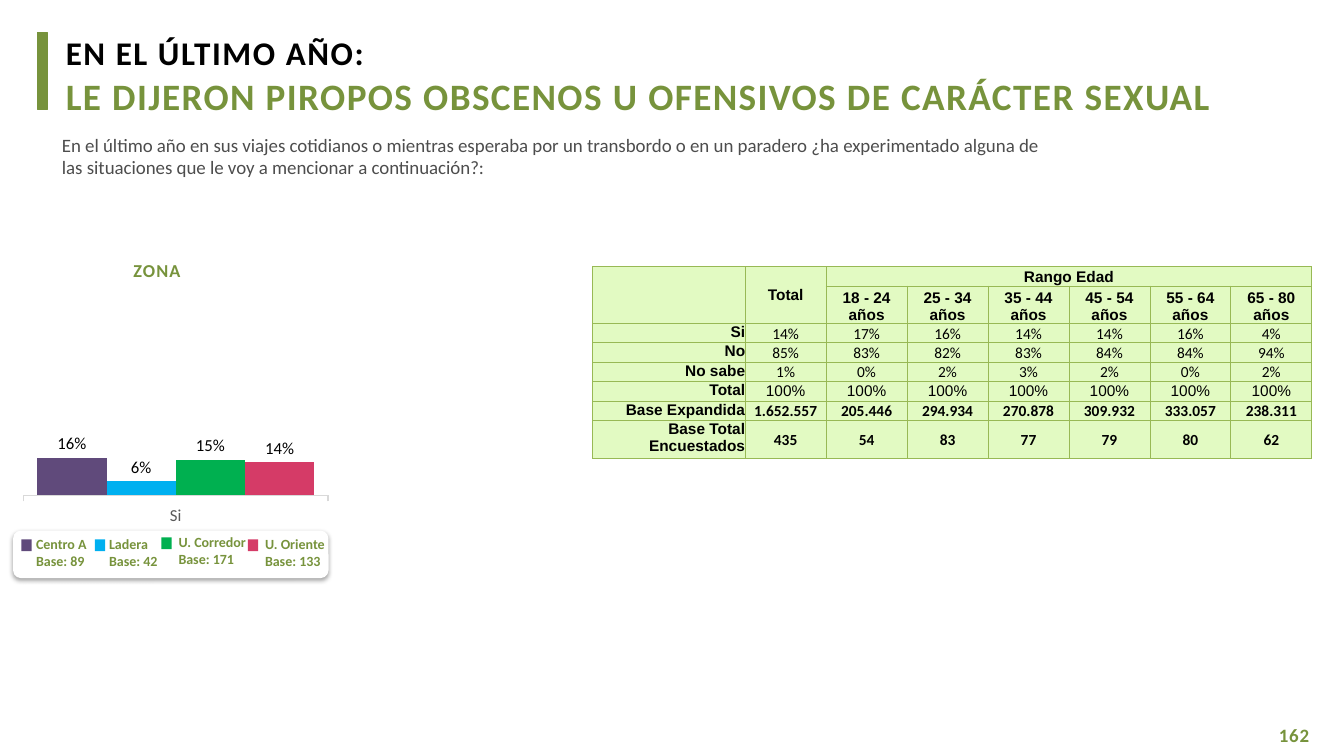
"""Build the survey slide on offensive remarks, with a chart by zone and a table by age."""
import pptx
import pptx.chart.data
import pptx.dml.color
import pptx.enum.chart
import pptx.enum.shapes
import pptx.enum.text
import pptx.oxml
import pptx.util
from lxml import etree

Cm = pptx.util.Cm
Pt = pptx.util.Pt
Align = pptx.enum.text.PP_ALIGN
Anchor = pptx.enum.text.MSO_ANCHOR
ShapeType = pptx.enum.shapes.MSO_SHAPE
NAMESPACE = "http://schemas.openxmlformats.org/drawingml/2006/main"
COLORS = {
    "green": "77933C", "black": "000000", "white": "FFFFFF", "gray": "4D4D4D",
    "axis text": "595959", "axis line": "D9D9D9", "cell": "E2FAC2", "border": "98B955",
    "Centro A": "604A7B", "Ladera": "00B0F0", "U. Corredor": "00B050", "U. Oriente": "D53B67",
}
RGB = {name: pptx.dml.color.RGBColor.from_string(value) for name, value in COLORS.items()}


def add_text(shapes, box, lines, margins=(0, 0.03, 0, 0), wrap=True, align=Align.LEFT, indent=0.03):
    """Add a text box; each line is text, size, color, bold and letter spacing in points."""
    frame = shapes.add_textbox(*map(Cm, box)).text_frame
    frame.word_wrap = wrap
    frame.margin_left, frame.margin_top, frame.margin_right, frame.margin_bottom = map(Cm, margins)
    frame.text = "\n".join(line[0] for line in lines)
    for paragraph, (_, size, color, bold, spacing) in zip(frame.paragraphs, lines):
        paragraph.alignment = align
        paragraph._p.get_or_add_pPr().set("marL", str(Cm(indent)))
        font = paragraph.runs[0].font
        font.name, font.size, font.bold = "Calibri", Pt(size), bold
        font.color.rgb = RGB[color]
        if spacing:
            font._element.set("spc", str(int(spacing * 100)))
    return frame


def add_block(shapes, kind, box, color):
    """Add a filled shape without outline or shadow."""
    shape = shapes.add_shape(kind, *map(Cm, box))
    shape.shadow.inherit = False
    shape.fill.solid()
    shape.fill.fore_color.rgb = RGB[color]
    shape.line.fill.background()
    return shape


presentation = pptx.Presentation()
presentation.slide_width, presentation.slide_height = Cm(33.87), Cm(19.05)
slide = presentation.slides.add_slide(presentation.slide_layouts[6])

title_bar = add_block(slide.shapes, ShapeType.RECTANGLE, (0.94, 0.82, 0.25, 1.93), "green")
title_bar.line.color.rgb = RGB["green"]
title_bar.line.width = Pt(0.75)

add_text(slide.shapes, (32.08, 18.2, 1.25, 0.61), [("162", 13.5, "green", True, 0.6)], indent=0.15)

legend = slide.shapes.add_group_shape()
legend_card = add_block(legend.shapes, ShapeType.ROUNDED_RECTANGLE, (0.33, 13.37, 7.95, 1.2), "white")
legend_card._element.spPr.find(f"{{{NAMESPACE}}}effectLst").append(pptx.oxml.parse_xml(
    f'<a:outerShdw xmlns:a="{NAMESPACE}" blurRad="{Pt(3.1)}" dist="{Pt(1.8)}" dir="5400000" '
    f'rotWithShape="0"><a:srgbClr val="{COLORS["black"]}"><a:alpha val="35000"/></a:srgbClr></a:outerShdw>'))
zones = [
    ("Centro A", 89, 0.16, 0.54, 13.59, (0.66, 13.36, 1.88, 1.14)),
    ("Ladera", 42, 0.06, 2.39, 13.59, (2.5, 13.36, 1.8, 1.14)),
    ("U. Corredor", 171, 0.15, 4.07, 13.54, (4.25, 13.32, 2.24, 1.14)),
    ("U. Oriente", 133, 0.14, 6.25, 13.59, (6.43, 13.36, 2.13, 1.14)),
]
for zone, base, share, left, top, box in zones:
    add_block(legend.shapes, ShapeType.RECTANGLE, (left, top, 0.26, 0.3), zone)
    add_text(legend.shapes, box, [(text, 10, "green", True, 0) for text in (zone, f"Base: {base}")],
             margins=(0.25, 0.13, 0.25, 0.13), wrap=False, indent=0)

add_text(slide.shapes, (0.94, 6.5, 6, 0.58), [("ZONA", 13, "green", True, 0.8)], align=Align.CENTER)
add_text(slide.shapes, (1.53, 3.33, 25.22, 1.17), [(
    "En el último año en sus viajes cotidianos o mientras esperaba por un transbordo o en un paradero "
    "¿ha experimentado alguna de las situaciones que le voy a mencionar a continuación?:",
    13.5, "gray", False, 0)])
title = add_text(slide.shapes, (1.63, 0.8, 31.32, 2.21), [
    ("EN EL ÚLTIMO AÑO:", 23.6, "black", True, 1.1),
    ("LE DIJERON PIROPOS OBSCENOS U OFENSIVOS DE CARÁCTER SEXUAL", 26.6, "green", True, 1)])
title.paragraphs[1].space_before = Pt(0.7)

chart_data = pptx.chart.data.CategoryChartData(number_format="0%")
chart_data.categories = ["Si"]
for zone, base, share, *_ in zones:
    chart_data.add_series(zone, [share])
chart = slide.shapes.add_chart(pptx.enum.chart.XL_CHART_TYPE.COLUMN_CLUSTERED,
                               Cm(0.33), Cm(6.27), Cm(7.95), Cm(7.32), chart_data).chart
chart.has_legend = chart.has_title = False
chart.font.name, chart.font.size = "Calibri", Pt(10)
chart.font.color.rgb = RGB["black"]
value_axis = chart.value_axis
value_axis.minimum_scale, value_axis.maximum_scale = 0, 1
value_axis.has_major_gridlines = value_axis.visible = False
category_axis = chart.category_axis
category_axis.major_tick_mark = pptx.enum.chart.XL_TICK_MARK.OUTSIDE
category_axis.format.line.color.rgb = RGB["axis line"]
category_axis.format.line.width = Pt(0.75)
category_axis.tick_labels.font.size = Pt(12)
category_axis.tick_labels.font.color.rgb = RGB["axis text"]
plot = chart.plots[0]
plot.gap_width, plot.overlap, plot.vary_by_categories = 40, 0, False
for series in plot.series:
    series.format.fill.solid()
    series.format.fill.fore_color.rgb = RGB[series.name]
    labels = series.data_labels
    labels.show_value = True
    labels.position = pptx.enum.chart.XL_LABEL_POSITION.OUTSIDE_END
    labels.number_format, labels.number_format_is_linked = "0%", False
    labels.font.name, labels.font.size = "Calibri", Pt(12)
    labels.font.color.rgb = RGB["black"]
plot_area = chart._chartSpace.chart.plotArea
for old_layout in plot_area.findall("{*}layout"):
    plot_area.remove(old_layout)
plot_area.insert(0, pptx.oxml.parse_xml(
    '<c:layout xmlns:c="http://schemas.openxmlformats.org/drawingml/2006/chart"><c:manualLayout>'
    '<c:layoutTarget val="inner"/><c:xMode val="edge"/><c:yMode val="edge"/>'
    '<c:x val="0.033"/><c:y val="0.037"/><c:w val="0.967"/><c:h val="0.812"/>'
    '</c:manualLayout></c:layout>'))

ages = ["18 - 24", "25 - 34", "35 - 44", "45 - 54", "55 - 64", "65 - 80"]
rows = [
    ["", "Total", "Rango Edad"] + [""] * 5,
    ["", ""] + [f"{age} años" for age in ages],
    ["Si", "14%", "17%", "16%", "14%", "14%", "16%", "4%"],
    ["No", "85%", "83%", "82%", "83%", "84%", "84%", "94%"],
    ["No sabe", "1%", "0%", "2%", "3%", "2%", "0%", "2%"],
    ["Total"] + ["100%"] * 7,
    ["Base Expandida", "1.652.557", "205.446", "294.934", "270.878", "309.932", "333.057", "238.311"],
    ["Base Total Encuestados", "435", "54", "83", "77", "79", "80", "62"],
]
table = slide.shapes.add_table(8, 8, Cm(14.94), Cm(6.72), Cm(18.12), Cm(4.8)).table
table.first_row = table.horz_banding = False
for column_index, column in enumerate(table.columns):
    column.width = Cm(2.04 if column_index else 3.84)
for row_index, row in enumerate(table.rows):
    row.height = Cm(0.94 if row_index in (1, 7) else 0.49)
    for column_index, text in enumerate(rows[row_index]):
        cell = table.cell(row_index, column_index)
        is_header, is_label = row_index < 2, column_index == 0
        is_value = not is_header and not is_label
        inset = Cm(0.02 if is_value and row_index != 5 else 0)
        cell.margin_left = cell.margin_top = cell.margin_right = inset
        cell.margin_bottom = 0
        cell.text = text
        paragraph = cell.text_frame.paragraphs[0]
        paragraph.alignment = Align.RIGHT if is_label else Align.CENTER
        cell.vertical_anchor = Anchor.TOP if is_label else Anchor.MIDDLE
        if is_header and column_index > 1:
            cell.vertical_anchor = Anchor.BOTTOM
        for run in paragraph.runs:
            run.font.name = "Calibri" if is_value and row_index != 5 else "Arial"
            run.font.size = Pt(11)
            run.font.bold = not is_value or row_index > 5
            run.font.color.rgb = RGB["black"]
        etree.SubElement(paragraph._p, f"{{{NAMESPACE}}}endParaRPr").set("sz", "1100")
        cell_properties = cell._tc.get_or_add_tcPr()
        for side in "LRTB":
            cell_properties.append(pptx.oxml.parse_xml(
                f'<a:ln{side} xmlns:a="{NAMESPACE}" w="{Pt(0.75)}"><a:solidFill>'
                f'<a:srgbClr val="{COLORS["border"]}"/></a:solidFill></a:ln{side}>'))
        cell.fill.solid()
        cell.fill.fore_color.rgb = RGB["cell"]
table.cell(0, 0).merge(table.cell(1, 0))
table.cell(0, 1).merge(table.cell(1, 1))
table.cell(0, 2).merge(table.cell(0, 7))

presentation.save("out.pptx")
